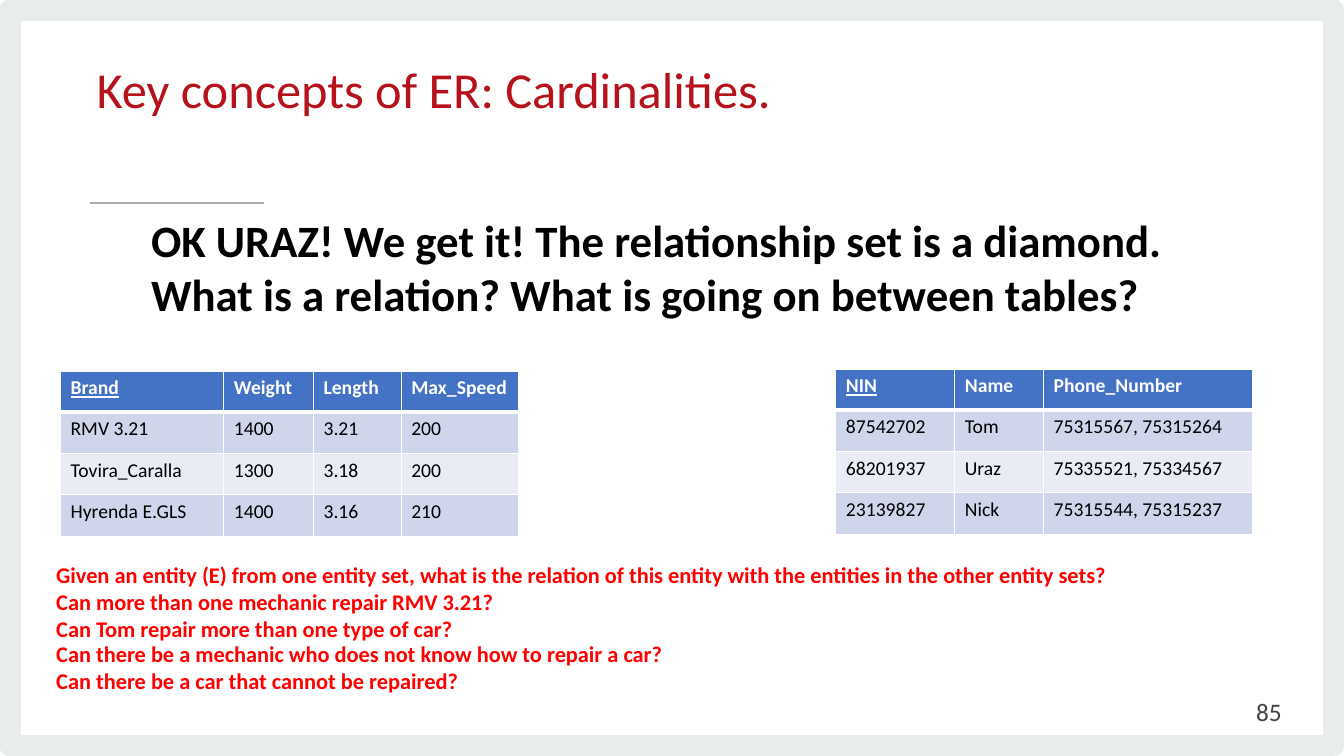
from lxml.etree import SubElement
from pptx import Presentation
from pptx.dml.color import RGBColor
from pptx.enum.shapes import MSO_CONNECTOR, MSO_SHAPE
from pptx.enum.text import MSO_ANCHOR as Anchor, PP_ALIGN as Align
from pptx.oxml.ns import qn
from pptx.util import Inches, Pt

FONT = "Calibri"
WHITE = RGBColor(0xFF, 0xFF, 0xFF)
BLACK = RGBColor(0, 0, 0)
RED = RGBColor(0xFF, 0, 0)
CRIMSON = RGBColor(0xB5, 0x12, 0x1B)
CHARCOAL = RGBColor(0x41, 0x40, 0x42)
FRAME_GREY = RGBColor(0xE9, 0xEC, 0xED)
RULE_GREY = RGBColor(0xA6, 0xAD, 0xB1)
HEADER_BLUE = RGBColor(0x44, 0x72, 0xC4)
BANDS = (RGBColor(0xCF, 0xD5, 0xEA), RGBColor(0xE9, 0xEB, 0xF5))

SLIDE_W, SLIDE_H = 13.33, 7.5
FRAME_INSET = 0.1
ROW_H = 0.41

TITLE = "Key concepts of ER: Cardinalities."
PAGE_NUMBER = "85"
QUESTION = ("OK URAZ! We get it! The relationship set is a diamond. "
            "What is a relation? What is going on between tables?")
RELATION_QUESTIONS = [
    "Given an entity (E) from one entity set, what is the relation of this "
    "entity with the entities in the other entity sets?",
    "Can more than one mechanic repair RMV 3.21?",
    "Can Tom repair more than one type of car?",
]
PARTICIPATION_QUESTIONS = [
    "Can there be a mechanic who does not know how to repair a car?",
    "Can there be a car that cannot be repaired?",
]
CARS = [
    ("Brand", "Weight", "Length", "Max_Speed"),
    ("RMV 3.21", "1400", "3.21", "200"),
    ("Tovira_Caralla", "1300", "3.18", "200"),
    ("Hyrenda E.GLS", "1400", "3.16", "210"),
]
MECHANICS = [
    ("NIN", "Name", "Phone_Number"),
    ("87542702", "Tom", "75315567, 75315264"),
    ("68201937", "Uraz", "75335521, 75334567"),
    ("23139827", "Nick", "75315544, 75315237"),
]
# left, top, column widths, rows
ENTITY_TABLES = [
    (0.6, 3.68, (1.62, 0.89, 0.87, 1.16), CARS),
    (8.29, 3.66, (1.18, 0.88, 2.07), MECHANICS),
]


def add_run(paragraph, text, size, color, bold=False, underline=False):
    run = paragraph.add_run()
    run.text = text
    font = run.font
    font.name, font.size, font.bold = FONT, Pt(size), bold
    font.underline = underline
    font.color.rgb = color


def add_text(slide, box, lines, size, color, bold=False,
             anchor=Anchor.TOP, align=Align.LEFT, line_spacing=None):
    frame = slide.shapes.add_textbox(*map(Inches, box)).text_frame
    frame.word_wrap = True
    frame.vertical_anchor = anchor
    for i, line in enumerate(lines):
        paragraph = frame.add_paragraph() if i else frame.paragraphs[0]
        paragraph.alignment = align
        paragraph.line_spacing = line_spacing
        add_run(paragraph, line, size, color, bold)


def add_frame(slide):
    frame = slide.shapes.add_shape(
        MSO_SHAPE.RECTANGLE, Inches(FRAME_INSET), Inches(FRAME_INSET),
        Inches(SLIDE_W - 2 * FRAME_INSET), Inches(SLIDE_H - 2 * FRAME_INSET))
    frame.shadow.inherit = False
    frame.fill.background()
    frame.line.color.rgb = FRAME_GREY
    frame.line.width = Pt(15.11)
    SubElement(frame._element.spPr.find(qn("a:ln")), qn("a:round"))


def add_title_rule(slide):
    rule = slide.shapes.add_connector(
        MSO_CONNECTOR.STRAIGHT,
        Inches(0.89), Inches(2.01), Inches(2.62), Inches(2.01))
    rule.line.color.rgb = RULE_GREY
    rule.line.width = Pt(1.33)
    SubElement(rule._element.spPr, qn("a:effectLst"))


def set_borders(cell, top, bottom):
    """Draw white cell borders, with top and bottom widths in points."""
    properties = cell._tc.get_or_add_tcPr()
    widths = {"a:lnL": 1, "a:lnR": 1, "a:lnT": top, "a:lnB": bottom}
    for tag, width in widths.items():
        border = SubElement(properties, qn(tag), w=str(Pt(width)))
        fill = SubElement(border, qn("a:solidFill"))
        SubElement(fill, qn("a:srgbClr"), val=str(WHITE))


def add_entity_table(slide, left, top, widths, rows):
    """Add a table whose first heading, the key, is underlined."""
    table = slide.shapes.add_table(
        len(rows), len(widths), Inches(left), Inches(top),
        Inches(sum(widths)), Inches(ROW_H * len(rows))).table
    for column, width in zip(table.columns, widths):
        column.width = Inches(width)
    for r, values in enumerate(rows):
        table.rows[r].height = Inches(ROW_H)
        header = r == 0
        for c, value in enumerate(values):
            cell = table.cell(r, c)
            set_borders(cell, top=3 if r == 1 else 1, bottom=3 if header else 1)
            cell.fill.solid()
            cell.fill.fore_color.rgb = HEADER_BLUE if header else BANDS[(r - 1) % 2]
            add_run(cell.text_frame.paragraphs[0], value, 14,
                    WHITE if header else BLACK, bold=header,
                    underline=header and c == 0)


def main():
    deck = Presentation()
    deck.slide_width, deck.slide_height = Inches(SLIDE_W), Inches(SLIDE_H)
    slide = deck.slides.add_slide(deck.slide_layouts[6])
    add_frame(slide)
    add_title_rule(slide)
    add_text(slide, (0.86, 0.55, 8.79, 0.78), [TITLE], 36, CRIMSON,
             anchor=Anchor.MIDDLE, line_spacing=Pt(34.7))
    add_text(slide, (9.81, 6.86, 3, 0.4), [PAGE_NUMBER], 18, CHARCOAL,
             anchor=Anchor.MIDDLE, align=Align.RIGHT)
    for entity_table in ENTITY_TABLES:
        add_entity_table(slide, *entity_table)
    add_text(slide, (1.4, 2.06, 10.52, 1.18), [QUESTION], 32, BLACK, bold=True)
    add_text(slide, (0.46, 5.52, 10.97, 1.18), RELATION_QUESTIONS, 16, RED, bold=True)
    add_text(slide, (0.46, 6.3, 10.97, 0.64), PARTICIPATION_QUESTIONS, 16, RED, bold=True)
    deck.save("out.pptx")


if __name__ == "__main__":
    main()
